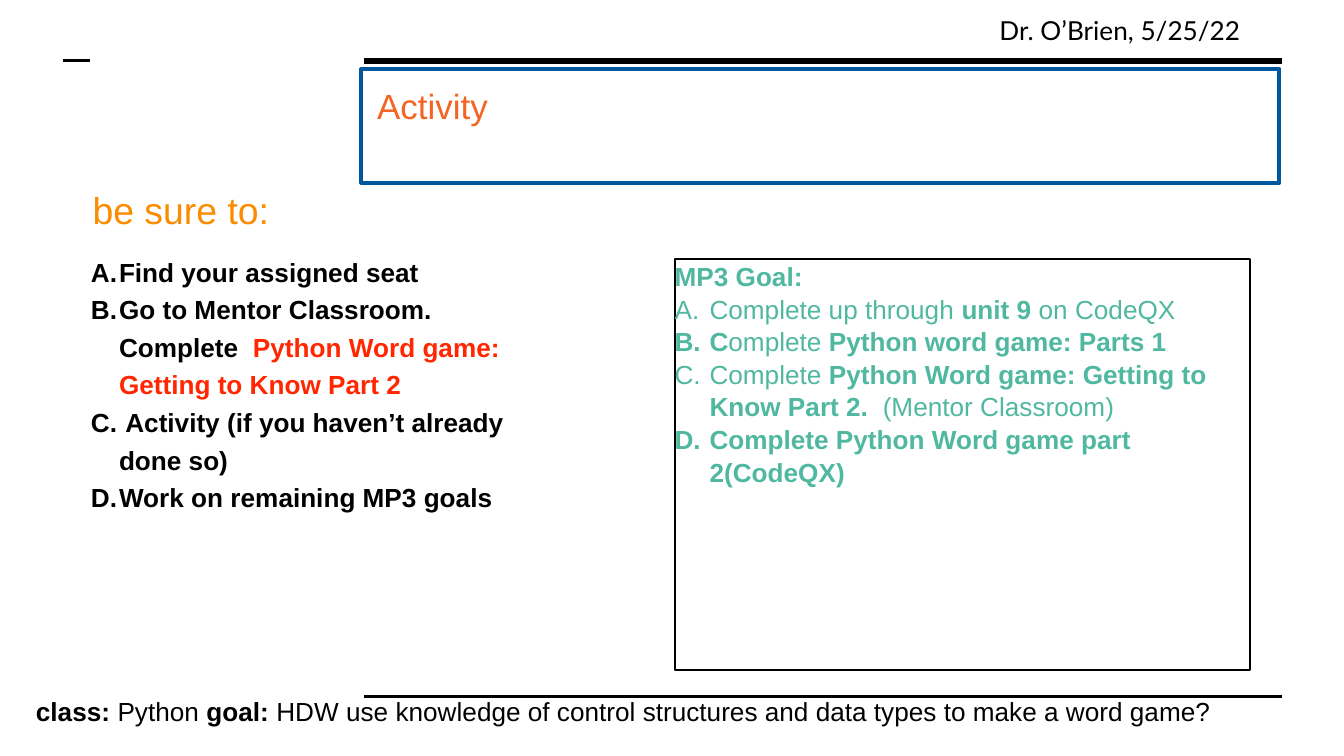
from dataclasses import dataclass
from typing import Optional

from lxml.etree import SubElement
from pptx import Presentation
from pptx.dml.color import RGBColor
from pptx.enum.shapes import MSO_CONNECTOR, MSO_SHAPE
from pptx.enum.text import MSO_ANCHOR, PP_ALIGN
from pptx.oxml.ns import qn
from pptx.util import Cm, Pt

COLORS = {
    "black": "000000", "white": "FFFFFF", "blue": "01579B", "orange": "F46524",
    "amber": "FB8C00", "red": "FF2600", "teal": "50B8A0",
}


@dataclass
class Run:
    text: str
    bold: bool = False
    color: Optional[str] = None


@dataclass
class Para:
    runs: list[Run]
    lettered: bool = True


@dataclass
class Block:
    """Text with its box (cm) and its style."""
    box: tuple[float, float, float, float]
    paras: list[Para]
    color: str
    size: float = 14
    font: str = "Arial"
    inset: float = 0.25
    indent: float = 0
    spacing: float = 1.0
    wrap: bool = True


@dataclass
class Rule:
    x1: float
    x2: float
    y: float
    width: float


def rgb(name: str) -> RGBColor:
    return RGBColor.from_string(COLORS[name])


def add_rule(s, rule: Rule) -> None:
    line = s.shapes.add_connector(MSO_CONNECTOR.STRAIGHT, Cm(rule.x1), Cm(rule.y),
                                  Cm(rule.x2), Cm(rule.y))
    line.line.color.rgb = rgb("black")
    line.line.width = Pt(rule.width)
    SubElement(line._element.spPr, qn("a:effectLst"))


def add_rect(s, box: tuple, line: str, width: float, fill: Optional[str] = None):
    sp = s.shapes.add_shape(MSO_SHAPE.RECTANGLE, *map(Cm, box))
    sp.shadow.inherit = False
    if fill:
        sp.fill.solid()
        sp.fill.fore_color.rgb = rgb(fill)
    else:
        sp.fill.background()
    sp.line.color.rgb = rgb(line)
    sp.line.width = Pt(width)
    return sp


def write(sp, block: Block) -> None:
    tf = sp.text_frame
    tf.word_wrap = block.wrap
    tf.vertical_anchor = MSO_ANCHOR.TOP
    tf.margin_left = tf.margin_right = tf.margin_top = tf.margin_bottom = Cm(block.inset)
    for i, para in enumerate(block.paras):
        p = tf.paragraphs[0] if i == 0 else tf.add_paragraph()
        p.alignment = PP_ALIGN.LEFT
        p.line_spacing = block.spacing
        if block.indent and para.lettered:
            pPr = p._p.get_or_add_pPr()
            pPr.set("marL", str(Cm(block.indent)))
            pPr.set("indent", str(-Cm(block.indent)))
            SubElement(pPr, qn("a:buFont"), typeface=block.font)
            SubElement(pPr, qn("a:buAutoNum"), type="alphaUcPeriod")
        for run in para.runs:
            r = p.add_run()
            r.text = run.text
            r.font.name = block.font
            r.font.size = Pt(block.size)
            r.font.bold = run.bold
            r.font.color.rgb = rgb(run.color or block.color)


def add_text(s, block: Block) -> None:
    write(s.shapes.add_textbox(*map(Cm, block.box)), block)


RULES = [Rule(6.88, 24.23, 1.15, 3), Rule(6.88, 24.23, 13.16, 1.5),
         Rule(1.19, 1.7, 1.15, 1.5)]

FOOTER = Block((0.43, 12.9, 23.75, 1.12), [Para([
    Run("class: ", True), Run("Python "), Run("goal: ", True),
    Run("HDW use knowledge of control structures and data types to make a word game?"),
])], "black")
BYLINE = Block((18.64, 0.03, 17.17, 1.12), [Para([Run("Dr. O’Brien, 5/25/22")])],
               "black", font="Lato")
TITLE = Block((6.88, 1.35, 17.27, 2.08), [Para([Run("Activity")])], "orange", size=18.7)
HEADING = Block((1.75, 3.53, 3.38, 0.84), [Para([Run("be sure to:")])],
                "amber", size=20, inset=0, wrap=False)

TASKS = Block((1.47, 4.47, 8.31, 4.14), [
    Para([Run("Find your assigned seat", True)]),
    Para([Run("Go to Mentor Classroom. Complete  ", True),
          Run("Python Word game: Getting to Know Part 2", True, "red")]),
    Para([Run(" Activity (if you haven’t already done so)", True)]),
    Para([Run("Work on remaining MP3 goals", True)]),
], "black", indent=0.53, spacing=1.2)

GOALS = Block((12.75, 4.9, 10.87, 7.77), [
    Para([Run("MP3 Goal:", True)], lettered=False),
    Para([Run("Complete up through "), Run("unit 9 ", True), Run("on CodeQX")]),
    Para([Run("C", True), Run("omplete "), Run("Python word game: Parts 1", True)]),
    Para([Run("Complete "), Run("Python Word game: Getting to Know Part 2.  ", True),
          Run("(Mentor Classroom)")]),
    Para([Run("Complete Python Word game part 2(CodeQX)", True)]),
], "teal", inset=0, indent=0.66, spacing=1.04)


def main() -> None:
    prs = Presentation()
    prs.slide_width, prs.slide_height = Cm(25.4), Cm(14.29)
    s = prs.slides.add_slide(prs.slide_layouts[6])

    # Frame lines, footer and byline
    for rule in RULES:
        add_rule(s, rule)
    add_text(s, FOOTER)
    add_text(s, BYLINE)

    # Title box
    add_rect(s, (6.83, 1.3, 17.35, 2.16), "blue", 2, "white")
    add_text(s, TITLE)

    # Tasks on the left, goals on the right
    add_text(s, HEADING)
    add_text(s, TASKS)
    write(add_rect(s, GOALS.box, "black", 1), GOALS)

    prs.save("out.pptx")


if __name__ == "__main__":
    main()
